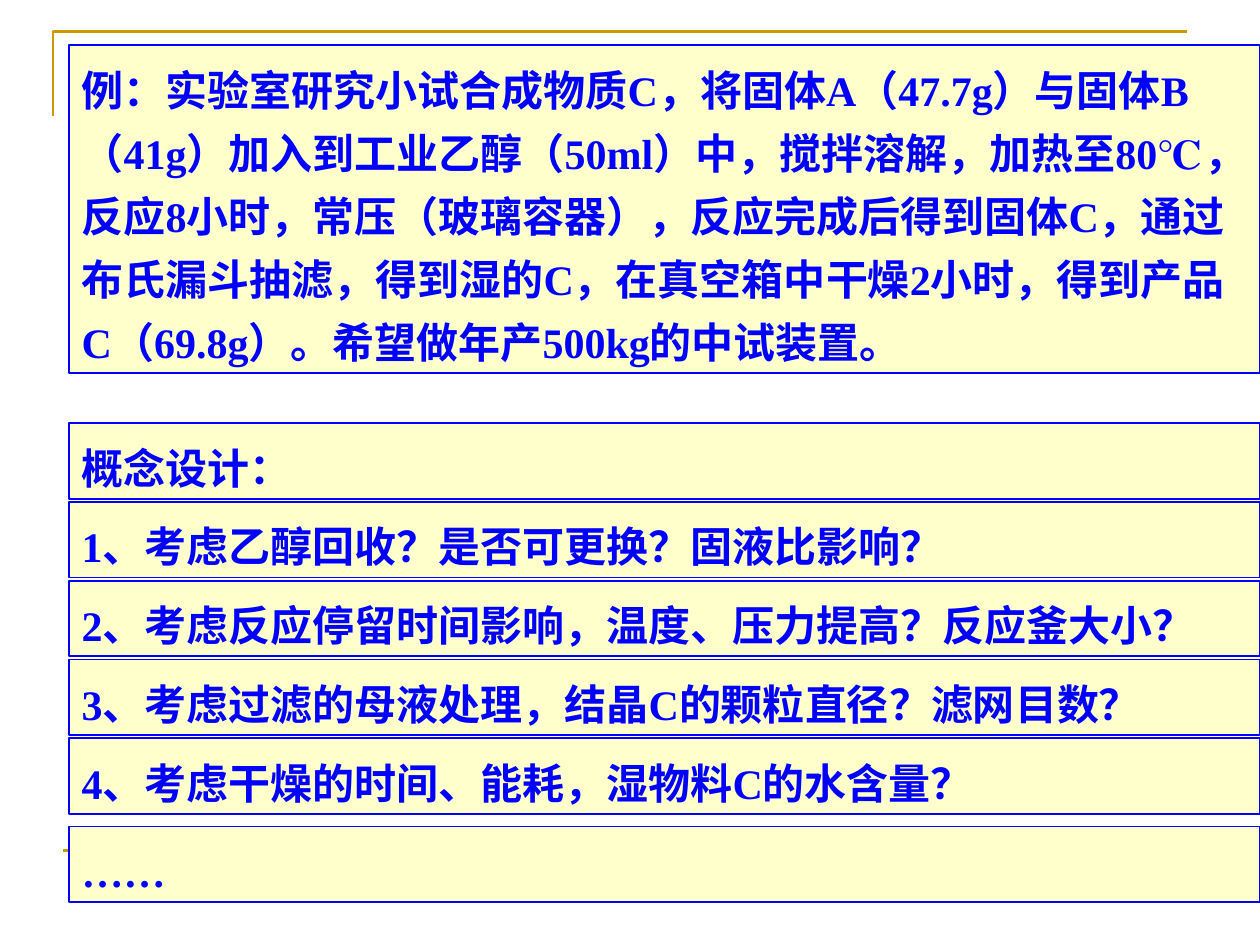
from dataclasses import dataclass

from pptx import Presentation
from pptx.dml.color import RGBColor
from pptx.enum.shapes import MSO_CONNECTOR, MSO_SHAPE
from pptx.enum.text import MSO_ANCHOR, MSO_AUTO_SIZE, PP_ALIGN
from pptx.oxml.ns import qn
from pptx.util import Inches, Pt
from lxml import etree

RECT = MSO_SHAPE.RECTANGLE
STRAIGHT = MSO_CONNECTOR.STRAIGHT
TOP = MSO_ANCHOR.TOP
LEFT = PP_ALIGN.LEFT
GROW = MSO_AUTO_SIZE.SHAPE_TO_FIT_TEXT


@dataclass
class Theme:
    gold: RGBColor = RGBColor(0xCC, 0x99, 0x00)
    cream: RGBColor = RGBColor(0xFF, 0xFF, 0xCC)
    blue: RGBColor = RGBColor(0x00, 0x00, 0xFF)
    font: str = "Times New Roman"
    size: Pt = Pt(24)
    rule: Pt = Pt(1.5)
    edge: Pt = Pt(1)
    lead: float = 1.25


class Deck:
    def __init__(self, theme, slide):
        self.theme = theme
        self.slide = slide

    def stroke(self, shape, color, width):
        shape.line.color.rgb = color
        shape.line.width = width

    def corner(self, left, top, right, bottom):
        pen = self.slide.shapes.build_freeform(Inches(left), Inches(bottom))
        pen.add_line_segments(
            [(Inches(left), Inches(top)), (Inches(right), Inches(top))], close=False
        )
        shape = pen.convert_to_shape()
        shape.shadow.inherit = False
        shape.fill.background()
        self.stroke(shape, self.theme.gold, self.theme.rule)

    def rule(self, left, right, top):
        line = self.slide.shapes.add_connector(
            STRAIGHT, Inches(left), Inches(top), Inches(right), Inches(top)
        )
        self.stroke(line, self.theme.gold, self.theme.rule)
        etree.SubElement(line._element.spPr, qn("a:effectLst"))

    def panel(self, text, top, height):
        theme = self.theme
        shape = self.slide.shapes.add_shape(
            RECT, Inches(0.55), Inches(top), Inches(9.45), Inches(height)
        )
        shape.shadow.inherit = False
        shape.fill.solid()
        shape.fill.fore_color.rgb = theme.cream
        self.stroke(shape, theme.blue, theme.edge)
        frame = shape.text_frame
        frame.text = text
        frame.word_wrap = True
        frame.auto_size = GROW
        frame.vertical_anchor = TOP
        para = frame.paragraphs[0]
        para.alignment = LEFT
        para.line_spacing = theme.lead
        font = para.runs[0].font
        font.name = theme.font
        font.size = theme.size
        font.bold = True
        font.color.rgb = theme.blue


CASE = (
    "例：实验室研究小试合成物质C，将固体A（47.7g）与固体B（41g）加入到工业乙醇（50ml）中，"
    "搅拌溶解，加热至80℃，反应8小时，常压（玻璃容器），反应完成后得到固体C，"
    "通过布氏漏斗抽滤，得到湿的C，在真空箱中干燥2小时，得到产品C（69.8g）。"
    "希望做年产500kg的中试装置。"
)
STEPS = [
    "概念设计：",
    "1、考虑乙醇回收？是否可更换？固液比影响？",
    "2、考虑反应停留时间影响，温度、压力提高？反应釜大小？",
    "3、考虑过滤的母液处理，结晶C的颗粒直径？滤网目数？",
    "4、考虑干燥的时间、能耗，湿物料C的水含量？",
]
FIRST = 3.36
PITCH = 0.625
ROW = 0.6


def main():
    prs = Presentation()
    prs.slide_width = Inches(10)
    prs.slide_height = Inches(7.5)
    deck = Deck(Theme(), prs.slides.add_slide(prs.slide_layouts[6]))
    deck.corner(0.42, 0.25, 9.42, 0.92)
    deck.rule(0.5, 9.5, 6.75)
    deck.panel(CASE, 0.36, 2.6)
    for i, step in enumerate(STEPS):
        deck.panel(step, FIRST + i * PITCH, ROW)
    deck.panel("……", 6.56, ROW)
    prs.save("out.pptx")


if __name__ == "__main__":
    main()
